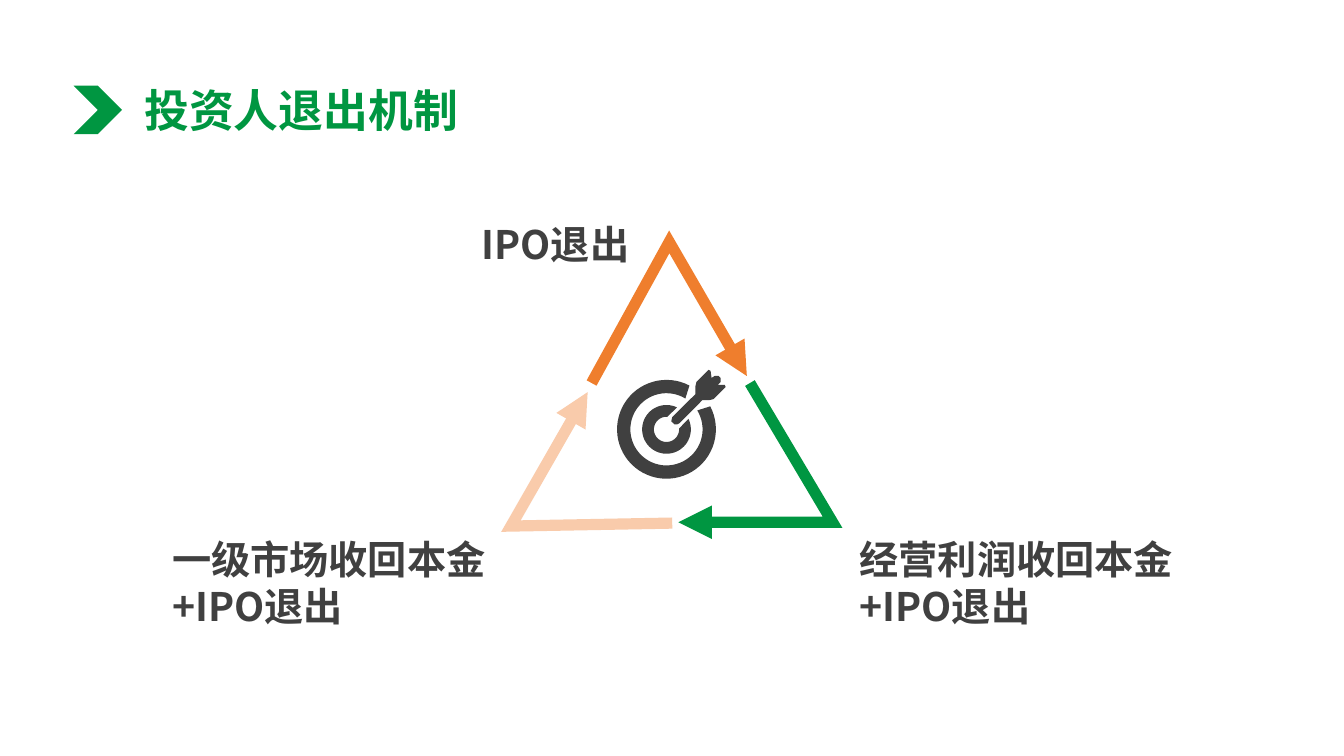
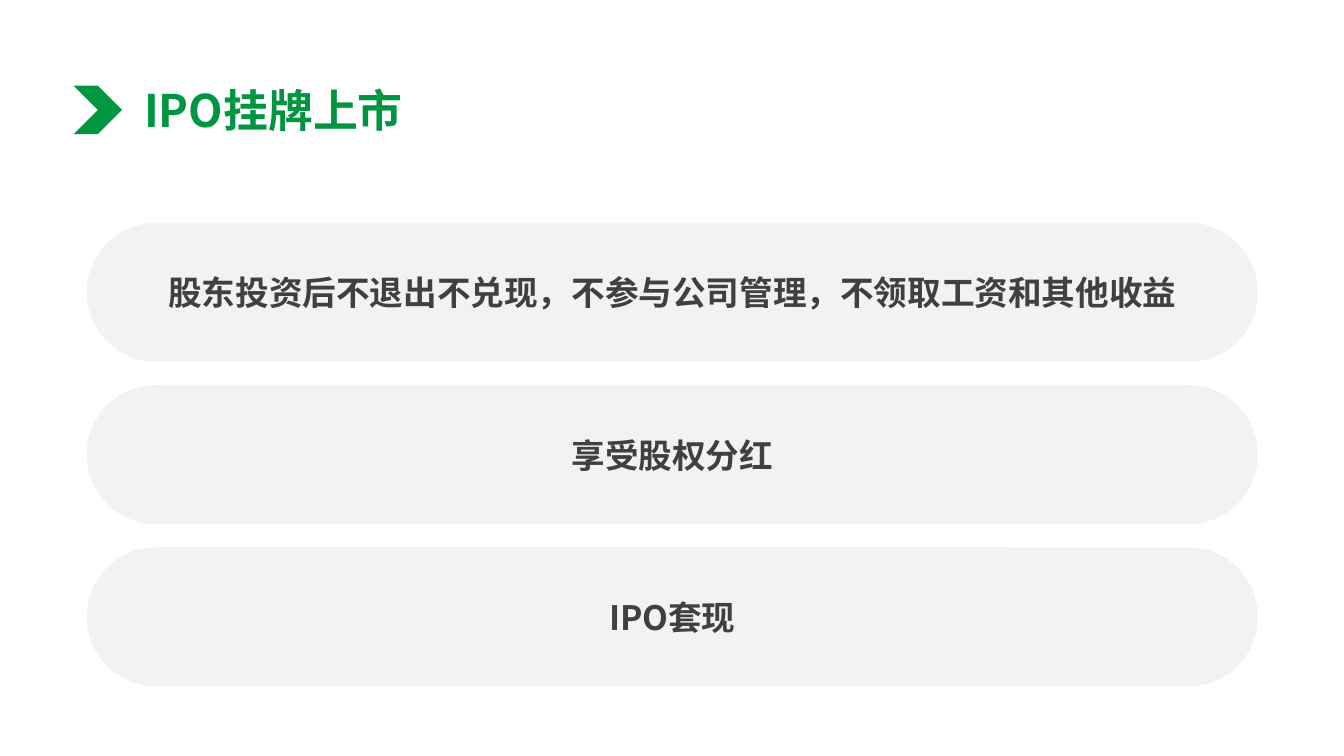
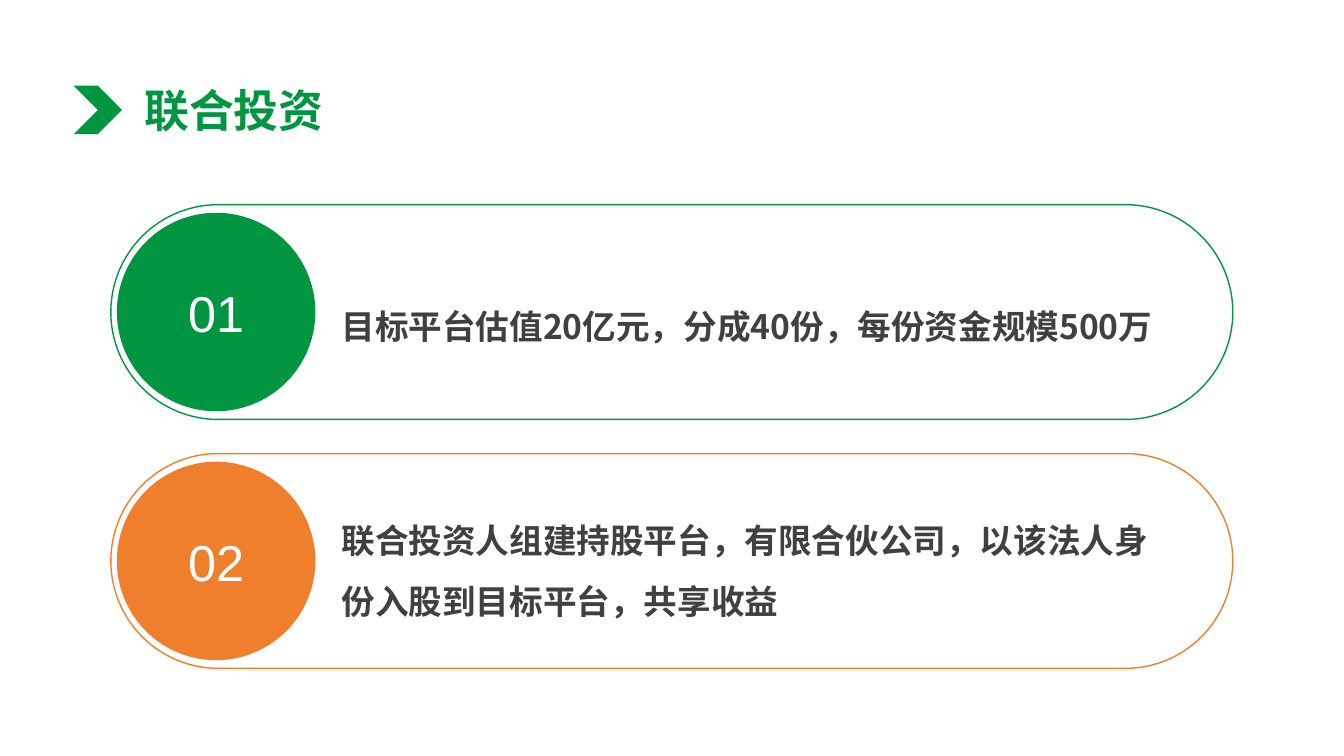
from math import cos, radians, sin

from pptx import Presentation
from pptx.dml.color import RGBColor
from pptx.enum import shapes, text
from pptx.oxml import ns, xmlchemy
from pptx.util import Pt

# Shared look
GREEN = RGBColor(0x00, 0x96, 0x41)
ORANGE = RGBColor(0xEF, 0x7E, 0x2D)
PEACH = RGBColor(0xF9, 0xCB, 0xAB)
DARK = RGBColor(0x40, 0x40, 0x40)
PALE = RGBColor(0xF2, 0xF2, 0xF2)
WHITE = RGBColor(0xFF, 0xFF, 0xFF)
FONT = "Noto Sans CJK SC"
KIND = shapes.MSO_SHAPE
ALIGN = text.PP_ALIGN
ANCHOR = text.MSO_ANCHOR


def sub(parent, tag, **attrs):
    """Append an empty XML element with attributes."""
    node = xmlchemy.OxmlElement(tag)
    for key, val in attrs.items():
        node.set(key, val)
    parent.append(node)


def write(frame, words, size, color, face=FONT, bold=True,
          align=ALIGN.LEFT, space=None):
    """Fill a text frame, one paragraph a line."""
    frame.text = words
    frame.word_wrap = True
    for para in frame.paragraphs:
        para.alignment = align
        if space:
            para.line_spacing = space
        font = para.font
        font.name, font.size, font.bold = face, Pt(size), bold
        font.color.rgb = color
        props = para._p.pPr.find(ns.qn("a:defRPr"))
        sub(props, "a:ea", typeface=face)


def paint(shape, fill=None, line=None, width=1):
    """Set fill and line, or clear them."""
    shape.shadow.inherit = False
    if fill is None:
        shape.fill.background()
    else:
        shape.fill.solid()
        shape.fill.fore_color.rgb = fill
    if line is None:
        shape.line.fill.background()
    else:
        shape.line.color.rgb = line
        shape.line.width = Pt(width)


def block(slide, kind, x, y, w, h, **look):
    """Add a painted preset shape."""
    shape = slide.shapes.add_shape(kind, Pt(x), Pt(y), Pt(w), Pt(h))
    paint(shape, **look)
    return shape


def pill(slide, x, y, w, h, **look):
    shape = block(slide, KIND.ROUNDED_RECTANGLE, x, y, w, h, **look)
    shape.adjustments[0] = 0.5
    return shape


def label(slide, x, y, w, h, words, size, space=None):
    """Add a text box that grows with its text."""
    frame = slide.shapes.add_textbox(Pt(x), Pt(y), Pt(w), Pt(h)).text_frame
    write(frame, words, size, DARK, space=space)
    frame.auto_size = text.MSO_AUTO_SIZE.SHAPE_TO_FIT_TEXT


def outline(tree, points, close=True, **look):
    """Add a freeform through points."""
    first, *rest = [(Pt(x), Pt(y)) for x, y in points]
    path = tree.build_freeform(*first)
    path.add_line_segments(rest, close=close)
    shape = path.convert_to_shape()
    paint(shape, **look)
    return shape


def bent(slide, points, color):
    """Add a bent arrow with sharp corners."""
    shape = outline(slide.shapes, points, close=False, line=color, width=8)
    line = shape.line._get_or_add_ln()
    sub(line, "a:miter", lim="800000")
    sub(line, "a:tailEnd", type="triangle")


def arc(x, y, size, gap):
    """Points of a circle that is open by gap degrees each side of upper right."""
    steps = 60
    turns = [radians(-45 + gap + (360 - 2 * gap) * i / steps)
             for i in range(steps + 1)]
    return [(x + size * cos(t), y + size * sin(t)) for t in turns]


def target(slide, x, y):
    """Add the target icon: two open rings and a dart."""
    tree = slide.shapes.add_group_shape().shapes
    rings = [(35.3, 17.3, 25.8, 13.5), (17.4, 19.5, 9, 41)]
    for size, gap, hole, slit in rings:
        ring = arc(x, y, size, gap) + arc(x, y, hole, slit)[::-1]
        outline(tree, ring, fill=DARK)
    dart = [(36.5, -31.7), (38.7, -33.8), (38.7, -36.7), (37.3, -38.1),
            (34.4, -38.1), (32.2, -36.7), (31.5, -41.7), (30.1, -42.5),
            (21.4, -33.8), (20.7, -30.9), (20.7, -25.2), (4.1, -8.6),
            (3.4, -5.7), (5.6, -3.6), (7.7, -3.6), (9.2, -4.3),
            (25.7, -20.9), (30.8, -20.9), (33.7, -21.6), (42.3, -30.2),
            (41.6, -31.7)]
    outline(tree, [(x + dx, y + dy) for dx, dy in dart], fill=DARK)


def page(deck, words):
    """Add a slide with chevron and title."""
    slide = deck.slides.add_slide(deck.slide_layouts[5])
    block(slide, KIND.CHEVRON, 52.6, 61.2, 34.6, 34.6, fill=GREEN)
    title = slide.shapes.title
    title.left, title.top = Pt(95.8), Pt(55.4)
    title.width, title.height = Pt(642), Pt(46)
    frame = title.text_frame
    write(frame, words, 32, GREEN)
    frame.vertical_anchor = ANCHOR.TOP
    frame.auto_size = text.MSO_AUTO_SIZE.SHAPE_TO_FIT_TEXT
    return slide


def exits(deck):
    slide = page(deck, "投资人退出机制")
    target(slide, 476.1, 306.7)
    # Arrow cycle
    bent(slide, [(422.6, 273.6), (478.1, 172.8), (533.5, 268.6)], ORANGE)
    bent(slide, [(535.7, 273.6), (594.7, 373), (484.6, 373)], GREEN)
    bent(slide, [(480.2, 373.7), (365, 375.8), (419.8, 280.1)], PEACH)
    # Corner labels
    label(slide, 337, 154.1, 130.3, 41, "IPO退出", 28)
    label(slide, 115.9, 378.7, 345.6, 75, "一级市场收回本金\n+IPO退出", 28)
    label(slide, 607, 378.7, 250, 75, "经营利润收回本金\n+IPO退出", 28)


def listing(deck):
    slide = page(deck, "IPO挂牌上市")
    points = ["股东投资后不退出不兑现，不参与公司管理，不领取工资和其他收益",
              "享受股权分红", "IPO套现"]
    for i, words in enumerate(points):
        bar = pill(slide, 61.9, 159.1 + 115.9 * i, 836.6, 99.4, fill=PALE)
        write(bar.text_frame, words, 24, DARK, align=ALIGN.CENTER)
        bar.text_frame.vertical_anchor = ANCHOR.MIDDLE


def joint(deck):
    slide = page(deck, "联合投资")
    rows = [(GREEN, 200.2, 46, "目标平台估值20亿元，分成40份，每份资金规模500万"),
            (ORANGE, 353.5, 89.3, "联合投资人组建持股平台，有限合伙公司，"
             "以该法人身份入股到目标平台，共享收益")]
    for i, (color, top, high, words) in enumerate(rows):
        y = 146.2 + 177.8 * i
        pill(slide, 79.2, y, 801.4, 153.4, line=color)
        disc = block(slide, KIND.OVAL, 83.5, y + 5.8, 141.8, 141.8, fill=color)
        write(disc.text_frame, f"{i + 1:02}", 36, WHITE, face="Arial",
              bold=False, align=ALIGN.CENTER)
        disc.text_frame.vertical_anchor = ANCHOR.MIDDLE
        label(slide, 236.9, top, 610.6, high, words, 24, space=1.5)


def main():
    deck = Presentation()
    deck.slide_width, deck.slide_height = Pt(960), Pt(540)
    exits(deck)
    listing(deck)
    joint(deck)
    deck.save("out.pptx")


if __name__ == "__main__":
    main()
